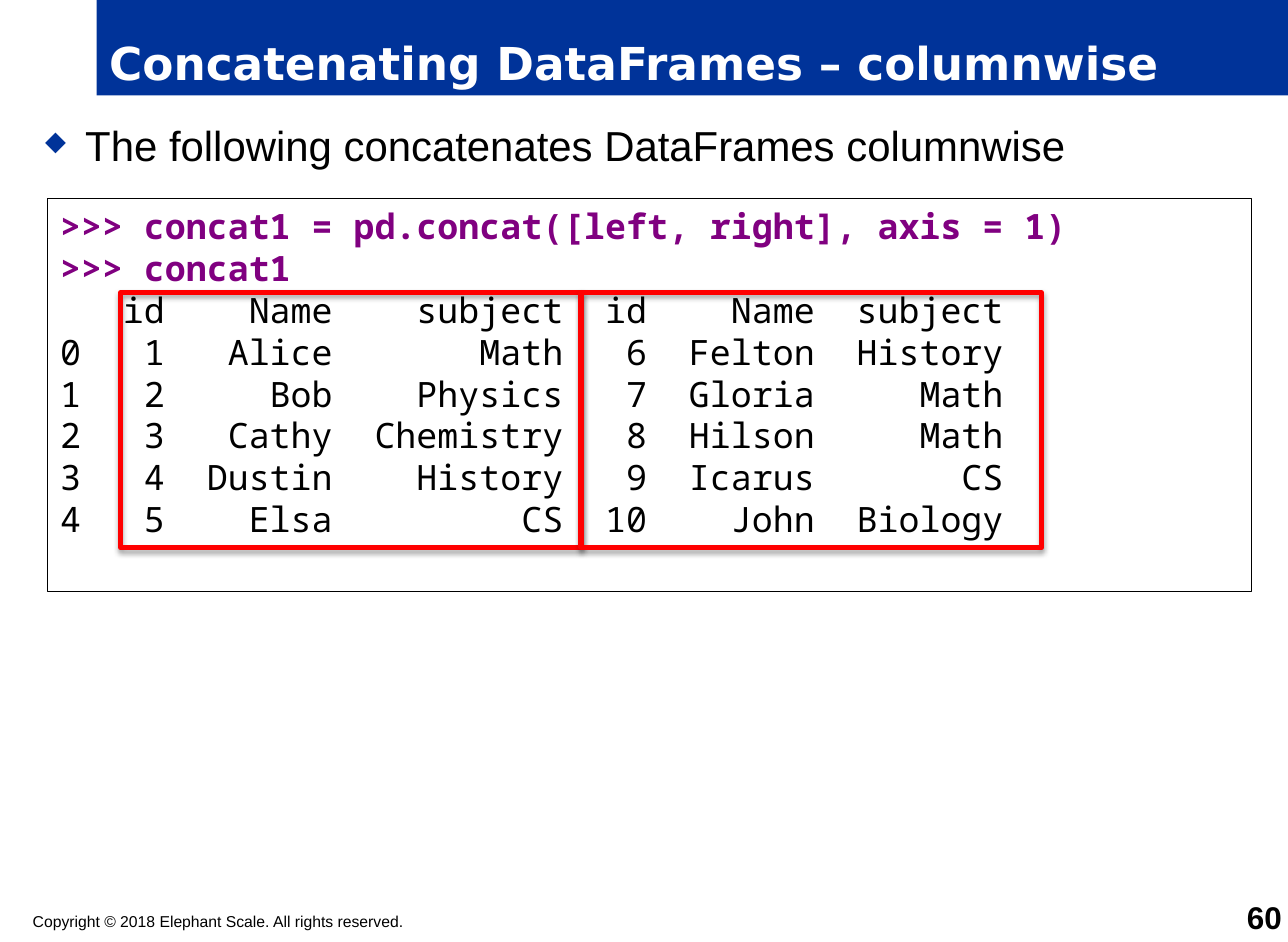
from dataclasses import dataclass

from lxml import etree
from pptx import Presentation
from pptx.dml.color import RGBColor as RGB
from pptx.enum.shapes import MSO_SHAPE as Shape
from pptx.enum.text import MSO_ANCHOR as Anchor, PP_ALIGN as Align
from pptx.oxml.ns import qn
from pptx.util import Inches, Pt

WIDTH, HEIGHT = Inches(10.25), Inches(7.5)


@dataclass(frozen=True)
class Theme:
    blue: str = "003399"
    white: str = "FFFFFF"
    black: str = "000000"
    purple: str = "800080"
    red: str = "FF0000"
    title_font: str = "DejaVu Sans"
    body_font: str = "Arial"
    code_font: str = "Noto Sans Mono"
    title_size: int = 26
    body_size: int = 24
    code_size: int = 20
    number_size: int = 18
    footer_size: int = 9


THEME = Theme()

COMMANDS = [
    ">>> concat1 = pd.concat([left, right], axis = 1)",
    ">>> concat1",
]
OUTPUT = [
    "   id    Name    subject  id    Name  subject",
    "0   1   Alice       Math   6  Felton  History",
    "1   2     Bob    Physics   7  Gloria     Math",
    "2   3   Cathy  Chemistry   8  Hilson     Math",
    "3   4  Dustin    History   9  Icarus       CS",
    "4   5    Elsa         CS  10    John  Biology",
]


def place(x, y, w, h):
    """Turn percentages of the slide's width and height into lengths."""
    return [round(share * side / 100)
            for share, side in zip((x, y, w, h), (WIDTH, HEIGHT) * 2)]


def add_child(parent, tag, **attributes):
    return etree.SubElement(parent, qn(tag), attributes)


def add_box(slide, area, fill=None, line=None, line_width=0.75):
    sp = slide.shapes.add_shape(Shape.RECTANGLE, *place(*area))
    sp.shadow.inherit = False
    if fill:
        sp.fill.solid()
        sp.fill.fore_color.rgb = RGB.from_string(fill)
    else:
        sp.fill.background()
    if line:
        sp.line.color.rgb = RGB.from_string(line)
        sp.line.width = Pt(line_width)
    else:
        sp.line.fill.background()
    return sp


def add_text_area(slide, area):
    return slide.shapes.add_textbox(*place(*area))


def add_bullet(p):
    pPr = p._p.get_or_add_pPr()
    pPr.set("marL", str(Inches(0.32)))
    pPr.set("indent", str(-Inches(0.32)))
    add_child(add_child(pPr, "a:buClr"), "a:srgbClr", val=THEME.blue)
    add_child(pPr, "a:buSzPct", val="65000")
    add_child(pPr, "a:buChar", char="◆")


def write(sp, lines, *, font=THEME.body_font, size, color=THEME.black, bold=False,
          align=Align.LEFT, anchor=Anchor.TOP, inset=True, bullet=False):
    """Add each line as a paragraph, after any text already in the shape."""
    tf = sp.text_frame
    tf.word_wrap = True
    tf.vertical_anchor = anchor
    if not inset:
        tf.margin_left = tf.margin_top = tf.margin_right = tf.margin_bottom = 0
    for line in lines:
        p = tf.add_paragraph() if tf.text else tf.paragraphs[0]
        p.alignment = align
        if bullet:
            add_bullet(p)
        r = p.add_run()
        r.text = line
        r.font.name, r.font.size, r.font.bold = font, Pt(size), bold
        r.font.color.rgb = RGB.from_string(color)


def add_highlight(slide, area):
    sp = add_box(slide, area, line=THEME.red, line_width=3)
    effects = sp._element.spPr.find(qn("a:effectLst"))
    shadow = add_child(effects, "a:outerShdw", blurRad=str(Pt(3.1)), dist=str(Pt(1.8)),
                       dir="5400000", rotWithShape="0")
    shade = add_child(shadow, "a:srgbClr", val=THEME.black)
    add_child(shade, "a:alpha", val="35000")


def main():
    prs = Presentation()
    prs.slide_width, prs.slide_height = WIDTH, HEIGHT
    slide = prs.slides.add_slide(prs.slide_layouts[6])

    title = add_box(slide, (7.51, 0, 92.49, 10.13), fill=THEME.blue)
    write(title, ["Concatenating DataFrames – columnwise"], font=THEME.title_font,
          size=THEME.title_size, color=THEME.white, bold=True, anchor=Anchor.BOTTOM)

    body = add_text_area(slide, (2.54, 12, 95.02, 82.27))
    write(body, ["The following concatenates DataFrames columnwise"],
          size=THEME.body_size, bullet=True)

    footer = add_text_area(slide, (2.54, 96.8, 58.05, 2))
    write(footer, ["Copyright © 2018 Elephant Scale. All rights reserved."],
          size=THEME.footer_size, inset=False)

    number = add_text_area(slide, (93.66, 96, 5.85, 3.33))
    write(number, ["60"], size=THEME.number_size, bold=True, align=Align.RIGHT,
          anchor=Anchor.BOTTOM, inset=False)

    code = add_box(slide, (3.71, 21.07, 93.46, 41.73), fill=THEME.white, line=THEME.black)
    write(code, COMMANDS, font=THEME.code_font, size=THEME.code_size,
          color=THEME.purple, bold=True)
    write(code, OUTPUT, font=THEME.code_font, size=THEME.code_size)

    frame_width = 35.75
    for i in range(2):
        add_highlight(slide, (9.37 + i * frame_width, 31.07, frame_width, 27.07))

    prs.save("out.pptx")


if __name__ == "__main__":
    main()
